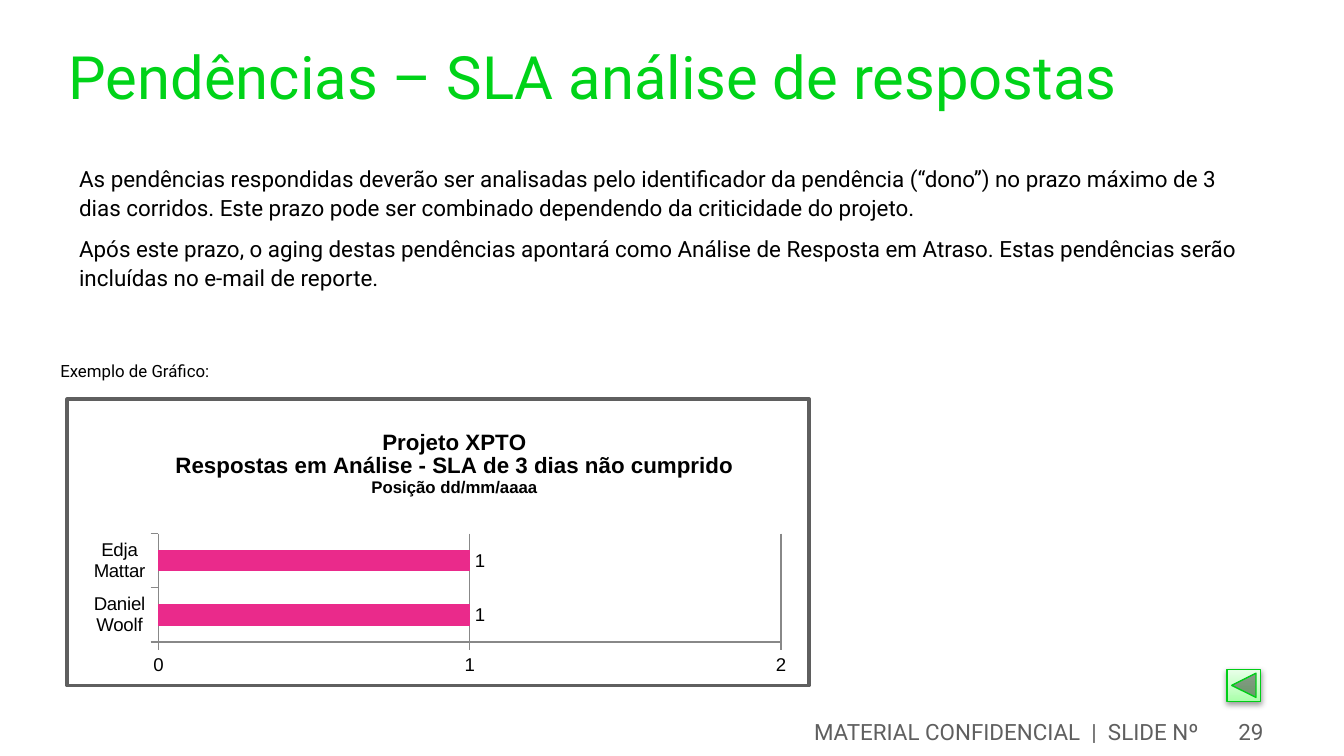
from pptx import Presentation
from pptx.chart.data import CategoryChartData
from pptx.dml.color import RGBColor
from pptx.enum.chart import XL_CHART_TYPE as ChartType
from pptx.enum.chart import XL_LABEL_POSITION as LabelPosition
from pptx.enum.chart import XL_TICK_MARK as TickMark
from pptx.enum.shapes import MSO_SHAPE as Shape
from pptx.enum.text import MSO_ANCHOR as Anchor
from pptx.enum.text import PP_ALIGN as Align
from pptx.oxml import parse_xml
from pptx.oxml.ns import nsdecls, qn
from pptx.util import Inches, Pt

WIDTH = 10
HEIGHT = WIDTH * 9 / 16
GREEN, GRAY, BLACK, WHITE = "00D318", "5F5F5F", "000000", "FFFFFF"
PINK, AXIS_GRAY = "EA2A8B", "888888"
FOOTER_TOP, FOOTER_HEIGHT = 94.7, 4.27


def color(hex_string):
    return RGBColor.from_string(hex_string)


def box(left, top, width, height):
    """Turn percentages of the slide's size into lengths."""
    column, row = WIDTH / 100, HEIGHT / 100
    return (Inches(left * column), Inches(top * row),
            Inches(width * column), Inches(height * row))


def set_font(font, size, hex_string, name="Roboto"):
    font.size = Pt(size)
    font.name = name
    font.color.rgb = color(hex_string)


def set_line(line, hex_string, width=0.75):
    line.color.rgb = color(hex_string)
    line.width = Pt(width)


def add_text(slide, place, text, size, hex_string, margins=True,
             align=Align.LEFT, anchor=Anchor.TOP, spacing=None, after=None):
    frame = slide.shapes.add_textbox(*box(*place)).text_frame
    frame.word_wrap = True
    frame.vertical_anchor = anchor
    if not margins:
        frame.margin_left = frame.margin_right = 0
        frame.margin_top = frame.margin_bottom = 0
    frame.text = text
    for paragraph in frame.paragraphs:
        paragraph.alignment = align
        paragraph.line_spacing = spacing
        paragraph.space_after = after
        set_font(paragraph.runs[0].font, size, hex_string)


def add_body(slide, place, text, size):
    add_text(slide, place, text, size, BLACK, spacing=1.1, after=Pt(6))


def add_footer(slide, left, width, text):
    add_text(slide, (left, FOOTER_TOP, width, FOOTER_HEIGHT), text, 12, GRAY,
             align=Align.RIGHT, anchor=Anchor.MIDDLE)


def add_frame(slide, place):
    frame = slide.shapes.add_shape(Shape.RECTANGLE, *box(*place))
    frame.shadow.inherit = False
    frame.fill.solid()
    frame.fill.fore_color.rgb = color(WHITE)
    set_line(frame.line, GRAY, 2)


def set_layout(parent, index, target="", **percentages):
    """Fix the place of a chart part, in percentages of the chart's size."""
    for old in parent.findall(qn("c:layout")):
        parent.remove(old)
    modes = "".join(f'<c:{axis}Mode val="edge"/>' for axis in "xy")
    values = "".join(f'<c:{key} val="{value / 100:.3f}"/>'
                     for key, value in percentages.items())
    parent.insert(index, parse_xml(
        f'<c:layout {nsdecls("c")}><c:manualLayout>{target}{modes}{values}'
        '</c:manualLayout></c:layout>'))


def style_axis(axis):
    axis.major_tick_mark = TickMark.OUTSIDE
    axis.minor_tick_mark = TickMark.NONE
    set_font(axis.tick_labels.font, 10, BLACK, "Arial")
    set_line(axis.format.line, AXIS_GRAY)


def set_title(chart, lines):
    frame = chart.chart_title.text_frame
    frame.text = "\n".join(text for text, _ in lines)
    for paragraph, (_, size) in zip(frame.paragraphs, lines):
        font = paragraph.runs[0].font
        set_font(font, size, BLACK, "Arial")
        font.bold = True
    set_layout(frame._txBody.getparent().getparent(), 1, x=13.4, y=4.1)


def add_bar_chart(slide, place, categories, values, title):
    data = CategoryChartData()
    data.categories = categories
    data.add_series("Series 1", values)
    chart = slide.shapes.add_chart(
        ChartType.BAR_CLUSTERED, *box(*place), data).chart
    set_font(chart.font, 10, BLACK, "Arial")
    chart.has_legend = False
    set_title(chart, title)

    style_axis(chart.category_axis)
    value_axis = chart.value_axis
    style_axis(value_axis)
    value_axis.minimum_scale, value_axis.maximum_scale = 0, 2
    value_axis.major_unit = 1
    set_line(value_axis.major_gridlines.format.line, AXIS_GRAY)

    plot = chart.plots[0]
    plot.vary_by_categories = False
    plot.gap_width = 150
    series = plot.series[0]
    series.format.fill.solid()
    series.format.fill.fore_color.rgb = color(PINK)
    labels = series.data_labels
    labels.show_value = True
    labels.position = LabelPosition.OUTSIDE_END
    set_font(labels.font, 10, BLACK, "Arial")

    chart_space = chart._chartSpace
    set_layout(chart_space.chart.plotArea, 0,
               '<c:layoutTarget val="inner"/>', x=11.6, y=46, w=86.1, h=41.4)
    chart_space.chart.addnext(parse_xml(
        f'<c:spPr {nsdecls("c", "a")}><a:noFill/><a:ln w="9525"><a:solidFill>'
        f'<a:srgbClr val="{WHITE}"/></a:solidFill></a:ln></c:spPr>'))


def add_back_button(slide, place):
    button = slide.shapes.add_shape(
        Shape.ACTION_BUTTON_BACK_OR_PREVIOUS, *box(*place))
    properties = button._element.spPr
    stops = "".join(
        f'<a:gs pos="{share * 1000}"><a:srgbClr val="{shade}"/></a:gs>'
        for share, shade in ((0, "A8FFA9"), (35, "C2FFC2"), (100, "E8FFE8")))
    properties.find(qn("a:prstGeom")).addnext(parse_xml(
        f'<a:gradFill {nsdecls("a")}><a:gsLst>{stops}</a:gsLst>'
        '<a:lin ang="16200000" scaled="1"/></a:gradFill>'))
    set_line(button.line, "00CE17")
    button.shadow.inherit = False
    properties.find(qn("a:effectLst")).append(parse_xml(
        f'<a:outerShdw {nsdecls("a")} blurRad="{Pt(3.1)}" dist="{Pt(1.6)}" '
        f'dir="5400000" rotWithShape="0"><a:srgbClr val="{BLACK}">'
        '<a:alpha val="38000"/></a:srgbClr></a:outerShdw>'))


def main():
    presentation = Presentation()
    presentation.slide_width = Inches(WIDTH)
    presentation.slide_height = Inches(HEIGHT)
    slide = presentation.slides.add_slide(presentation.slide_layouts[6])

    add_frame(slide, (5, 52.8, 55.2, 37.87))
    add_text(slide, (5.1, 5.25, 89.8, 13.87),
             "Pendências – SLA análise de respostas", 32, GREEN, margins=False)
    add_footer(slide, 5, 85.2, "MATERIAL CONFIDENCIAL  |  SLIDE Nº")
    add_footer(slide, 90.2, 4.8, "29")
    add_body(slide, (4.9, 20.58, 89.8, 19.02),
             "As pendências respondidas deverão ser analisadas pelo identificador "
             "da pendência (“dono”) no prazo máximo de 3 dias corridos. Este prazo "
             "pode ser combinado dependendo da criticidade do projeto.\n"
             "Após este prazo, o aging destas pendências apontará como Análise de "
             "Resposta em Atraso. Estas pendências serão incluídas no e-mail de "
             "reporte.", 12)
    add_body(slide, (3.5, 46.58, 89.8, 4.8), "Exemplo de Gráfico:", 9)
    add_bar_chart(slide, (5.5, 54.58, 53.9, 34.84),
                  ["Daniel Woolf", "Edja Mattar"], [1, 1],
                  [("Projeto XPTO", 12),
                   ("Respostas em Análise - SLA de 3 dias não cumprido", 12),
                   ("Posição dd/mm/aaaa", 9)])
    add_back_button(slide, (91.3, 88.53, 2.5, 4.27))
    presentation.save("out.pptx")


if __name__ == "__main__":
    main()
